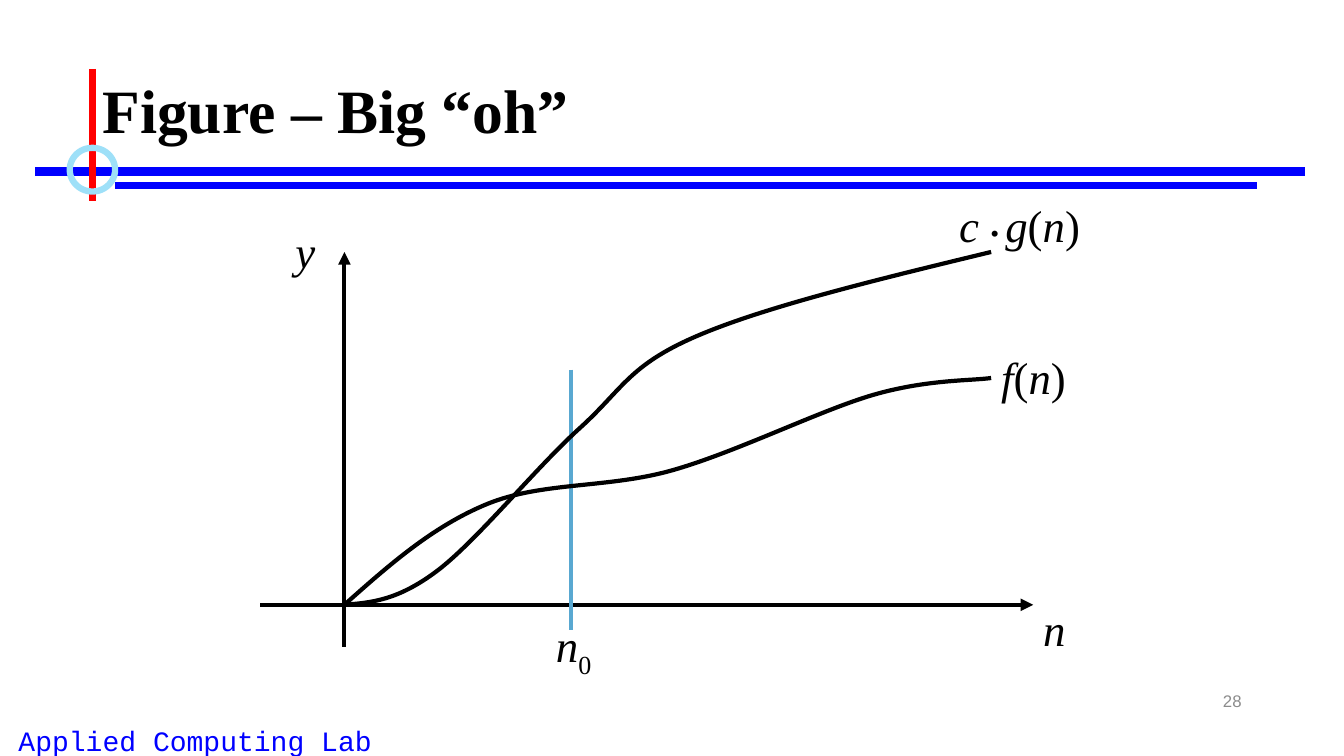
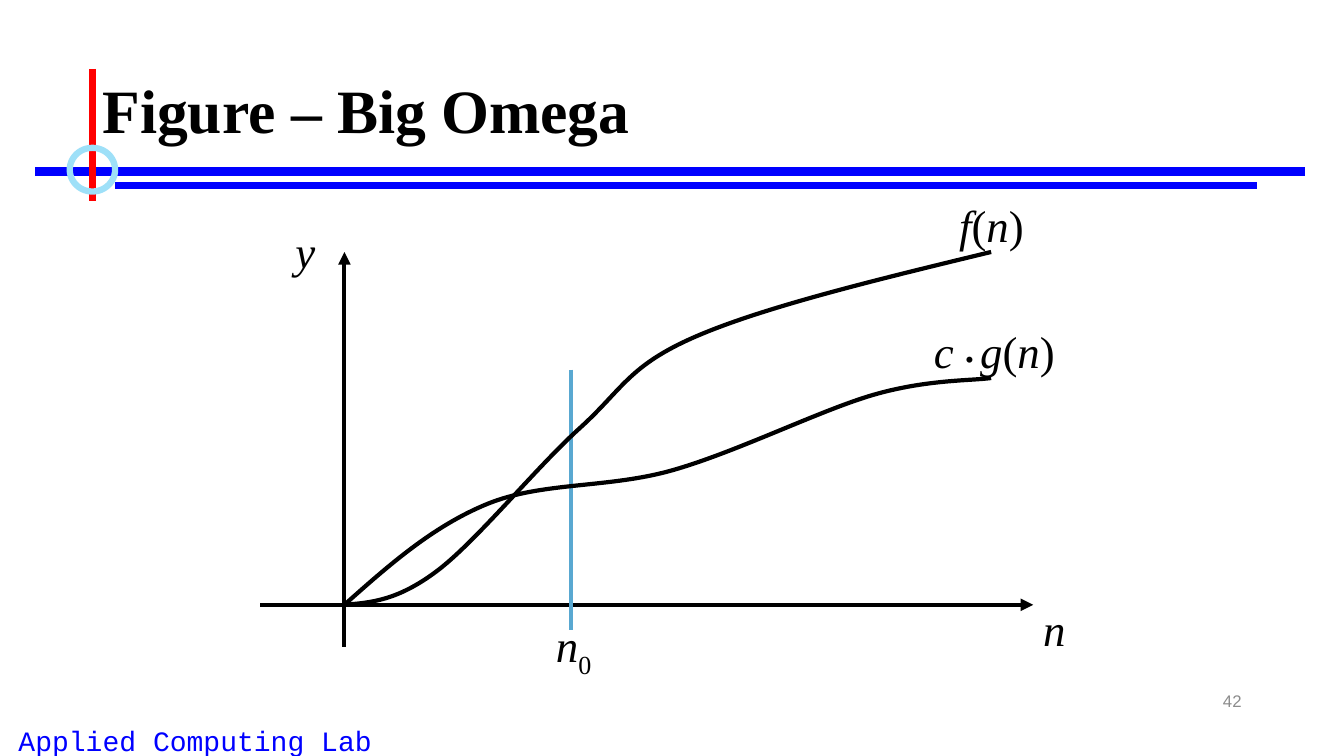
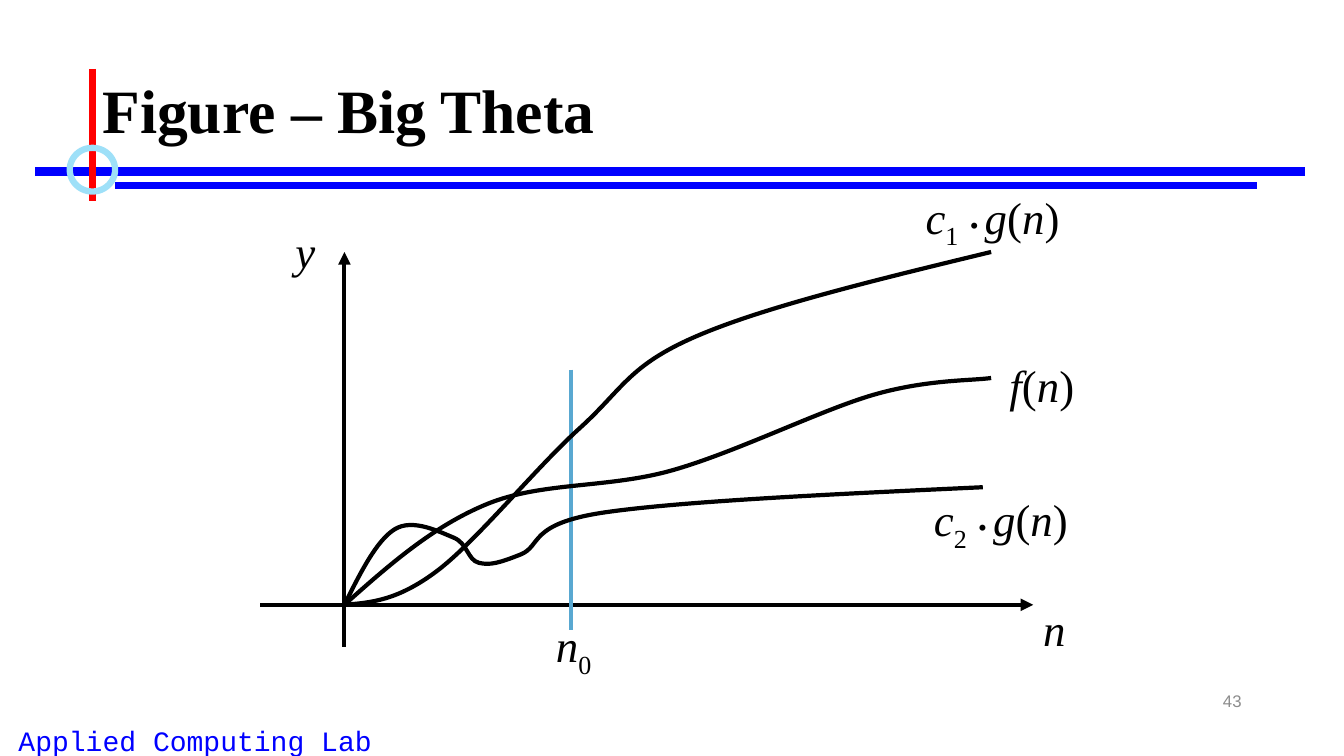
from lxml import etree
from pptx import Presentation
from pptx.dml.color import RGBColor
from pptx.enum import shapes, text
from pptx.oxml.ns import qn
from pptx.util import Inches, Pt

# The page is a grid of square cells, twelve to the inch
CELL = Inches(1) / 12
COLUMNS, ROWS = 160, 90

COLORS = {"ink": "000000", "band": "0000FF", "accent": "FF0000",
          "ring": "9EE0F8", "threshold": "59A8D1", "number": "8C8C8C"}
SERIF, SANS, MONO = "Times New Roman", "Arial", "Courier New"

# Plot box on the page grid: left, top, width, height
PLOT = (31, 30, 92, 47)

# Curve knots, in cells right of and above the plot's origin;
# a repeated last knot flattens the end
CURVES = {
    "upper": [(0, 0), (11, 4), (28, 21), (42, 32), (77, 42)],
    "middle": [(0, 0), (17, 12), (39, 16), (63, 25), (77, 27), (77, 27)],
    "lower": [(0, 0), (6, 9), (13, 8), (16, 5), (21, 6), (31, 11), (76, 14)],
}

# Span styles: size, italic, baseline shift
STYLES = {"variable": (32, True, 0), "upright": (32, False, 0),
          "dot": (18, True, 0), "index": (32, False, -25000)}


def call_of(name):
    return [(name, "variable"), ("(", "upright"), ("n", "variable"), (")", "upright")]


def scaled_g(index):
    return [("c", "variable"), (index, "index"), (" ", "upright"),
            ("• ", "dot")] + call_of("g")


# Label width in cells and its spans
LABELS = {
    "y": (4.8, [("y", "variable")]),
    "n": (5.2, [("n", "variable")]),
    "n0": (7.1, [("n", "variable"), ("0", "index")]),
    "f": (10.2, call_of("f")),
    "cg": (17, [("c ", "variable"), ("• ", "dot")] + call_of("g")),
    "c1g": (18.8, scaled_g("1")),
    "c2g": (18.8, scaled_g("2")),
}
AXIS_LABELS = {"y": (-7, 46), "n": (82, 1), "n0": (24, -1)}

# Title, page number, curves, label corners relative to the origin
FIGURES = [
    ("Figure – Big “oh”", 28, ["middle", "upper"],
     {"f": (77, 31), "cg": (72, 49)}),
    ("Figure – Big Omega", 42, ["upper", "middle"],
     {"f": (72, 49), "cg": (69, 34)}),
    ("Figure – Big Theta", 43, ["middle", "upper", "lower"],
     {"f": (78, 30), "c1g": (68, 50), "c2g": (69, 14)}),
]


def cells(*values):
    return [round(value * CELL) for value in values]


def format_font(font, name, size, color, bold=False, italic=False):
    font.name, font.size, font.bold, font.italic = name, Pt(size), bold, italic
    font.color.rgb = RGBColor.from_string(COLORS[color])


def format_line(shape, color, width):
    shape.line.color.rgb = RGBColor.from_string(COLORS[color])
    shape.line.width = Pt(width)


def add_line(page, start, end, color, width, arrow=None):
    line = page.shapes.add_connector(
        shapes.MSO_CONNECTOR.STRAIGHT, *cells(*start, *end))
    format_line(line, color, width)
    properties = line._element.spPr
    if arrow:
        etree.SubElement(properties.find(qn("a:ln")), qn(arrow), type="triangle")
    etree.SubElement(properties, qn("a:effectLst"))
    return line


def add_text(page, box, words, align, name, size, color):
    holder = page.shapes.add_textbox(*cells(*box))
    frame = holder.text_frame
    frame.word_wrap = True
    frame.text = words
    para = frame.paragraphs[0]
    para.alignment = align
    format_font(para.runs[0].font, name, size, color)
    return holder


def add_title(page, box, words):
    title = page.shapes.title
    title.left, title.top, title.width, title.height = cells(*box)
    frame = title.text_frame
    frame.text = words
    frame.auto_size = text.MSO_AUTO_SIZE.NONE
    frame.vertical_anchor = text.MSO_ANCHOR.MIDDLE
    para = frame.paragraphs[0]
    para.alignment = text.PP_ALIGN.LEFT
    para.line_spacing = 0.9
    format_font(para.runs[0].font, SERIF, 44, "ink", bold=True)


def add_number(page, box, number):
    holder = add_text(page, box, str(number), text.PP_ALIGN.RIGHT, SANS, 12, "number")
    holder.text_frame.vertical_anchor = text.MSO_ANCHOR.MIDDLE


def add_frame(page, layout):
    """Draws the footer, bands and ring, then hands them to the shared layout."""
    parts = [
        add_text(page, (-7, 85.5, 60.5, 5.2), "Applied Computing Lab",
                 text.PP_ALIGN.CENTER, MONO, 20, "band"),
        add_line(page, (4.2, 20.4), (155.4, 20.4), "band", 6),
        add_line(page, (13.7, 22.1), (149.6, 22.1), "band", 4.5),
        add_line(page, (11, 8.2), (11, 23.9), "accent", 4.5),
    ]
    ring = page.shapes.add_shape(shapes.MSO_SHAPE.OVAL, *cells(8.3, 17.6, 5.4, 5.2))
    ring.fill.background()
    ring.shadow.inherit = False
    format_line(ring, "ring", 4.5)
    for part in parts + [ring]:
        layout.shapes._spTree.append(part._element)


def add_label(page, corner, key):
    width, spans = LABELS[key]
    frame = page.shapes.add_textbox(*cells(*corner, width, 7.6)).text_frame
    frame.word_wrap = False
    frame.auto_size = text.MSO_AUTO_SIZE.SHAPE_TO_FIT_TEXT
    for words, style in spans:
        size, italic, shift = STYLES[style]
        span = frame.paragraphs[0].add_run()
        span.text = words
        format_font(span.font, SERIF, size, "ink", italic=italic)
        if shift:
            span._r.get_or_add_rPr().set("baseline", str(shift))


def middle(a, b):
    return tuple((p + q) / 2 for p, q in zip(a, b))


def smooth(knots):
    """Bezier segments whose slope at a knot follows its neighbours."""
    last = len(knots) - 1

    def handle(i, side):
        before, after = knots[i - 1], knots[i + 1]
        return tuple(k + side * (q - p) / 6 for k, p, q in zip(knots[i], before, after))

    segments = []
    for i, (start, end) in enumerate(zip(knots, knots[1:])):
        if start == end:
            continue
        arriving = handle(i + 1, -1) if i + 1 < last else None
        leaving = handle(i, 1) if i else middle(start, arriving)
        segments.append((leaving, arriving or middle(leaving, end), end))
    return segments


def add_curve(page, start, segments):
    builder = page.shapes.build_freeform(*cells(*start))
    builder.add_line_segments([cells(*segment[-1]) for segment in segments], close=False)
    curve = builder.convert_to_shape()
    curve.fill.background()
    curve.shadow.inherit = False
    format_line(curve, "ink", 3)
    # Bend each straight step into its Bezier segment
    for step, segment in zip(list(curve._element.iter(qn("a:lnTo"))), segments):
        bend = etree.Element(qn("a:cubicBezTo"))
        for point in segment:
            x, y = cells(*point)
            etree.SubElement(bend, qn("a:pt"), x=str(x - curve.left), y=str(y - curve.top))
        step.getparent().replace(step, bend)


def add_plot(page, box, curves, labels):
    left, top, width, height = box
    origin_x, origin_y = left + 10, top + height - 5

    def place(point):
        return origin_x + point[0], origin_y - point[1]

    # Axes
    add_line(page, (origin_x, top), (origin_x, top + height), "ink", 3, "a:headEnd")
    add_line(page, (left, origin_y), (left + width, origin_y), "ink", 3, "a:tailEnd")
    # Threshold, curves and labels
    add_line(page, place((27, 28)), place((27, -3)), "threshold", 3)
    for name in curves:
        knots = [place(knot) for knot in CURVES[name]]
        add_curve(page, knots[0], smooth(knots))
    for key, corner in {**AXIS_LABELS, **labels}.items():
        add_label(page, place(corner), key)


deck = Presentation()
deck.slide_width, deck.slide_height = cells(COLUMNS, ROWS)
layout = deck.slide_layouts[5]
for holder in list(layout.placeholders)[1:]:
    layout.shapes._spTree.remove(holder._element)

for heading, number, curves, labels in FIGURES:
    page = deck.slides.add_slide(layout)
    if number == FIGURES[0][1]:
        add_frame(page, layout)
    add_number(page, (113, 81, 36, 4.8), number)
    add_title(page, (11, 4.8, 138, 17.4), heading)
    add_plot(page, PLOT, curves, labels)
deck.save("out.pptx")
